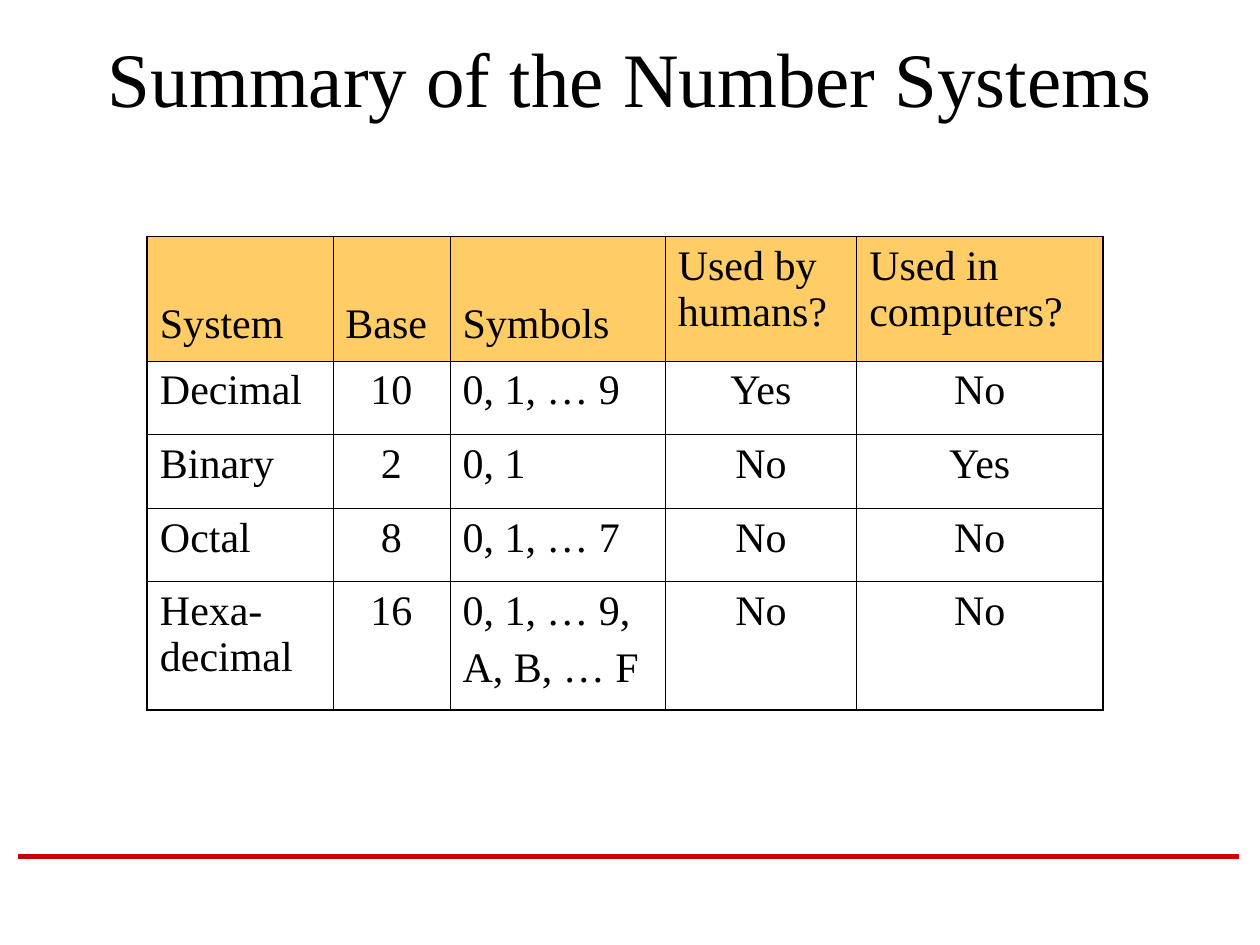
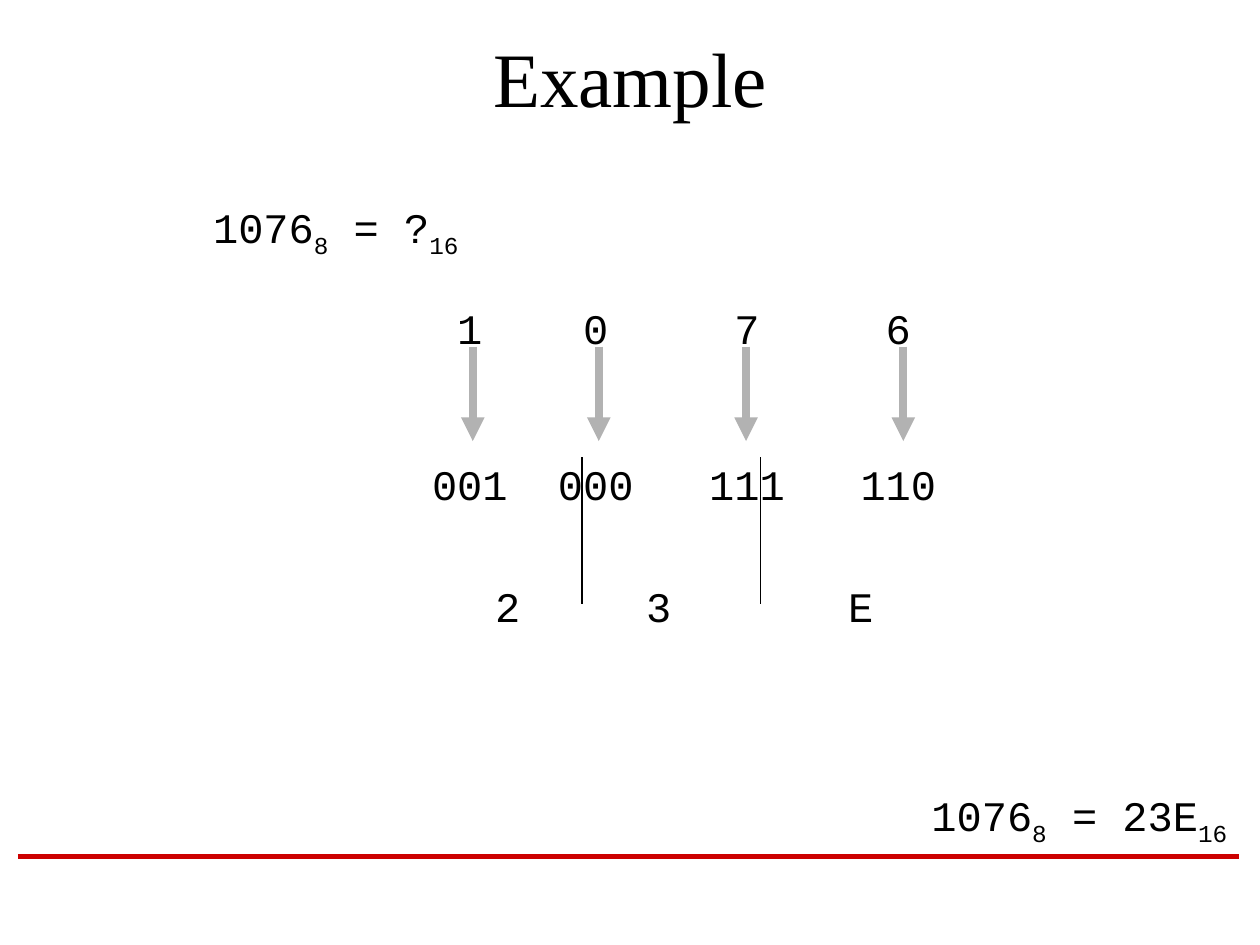
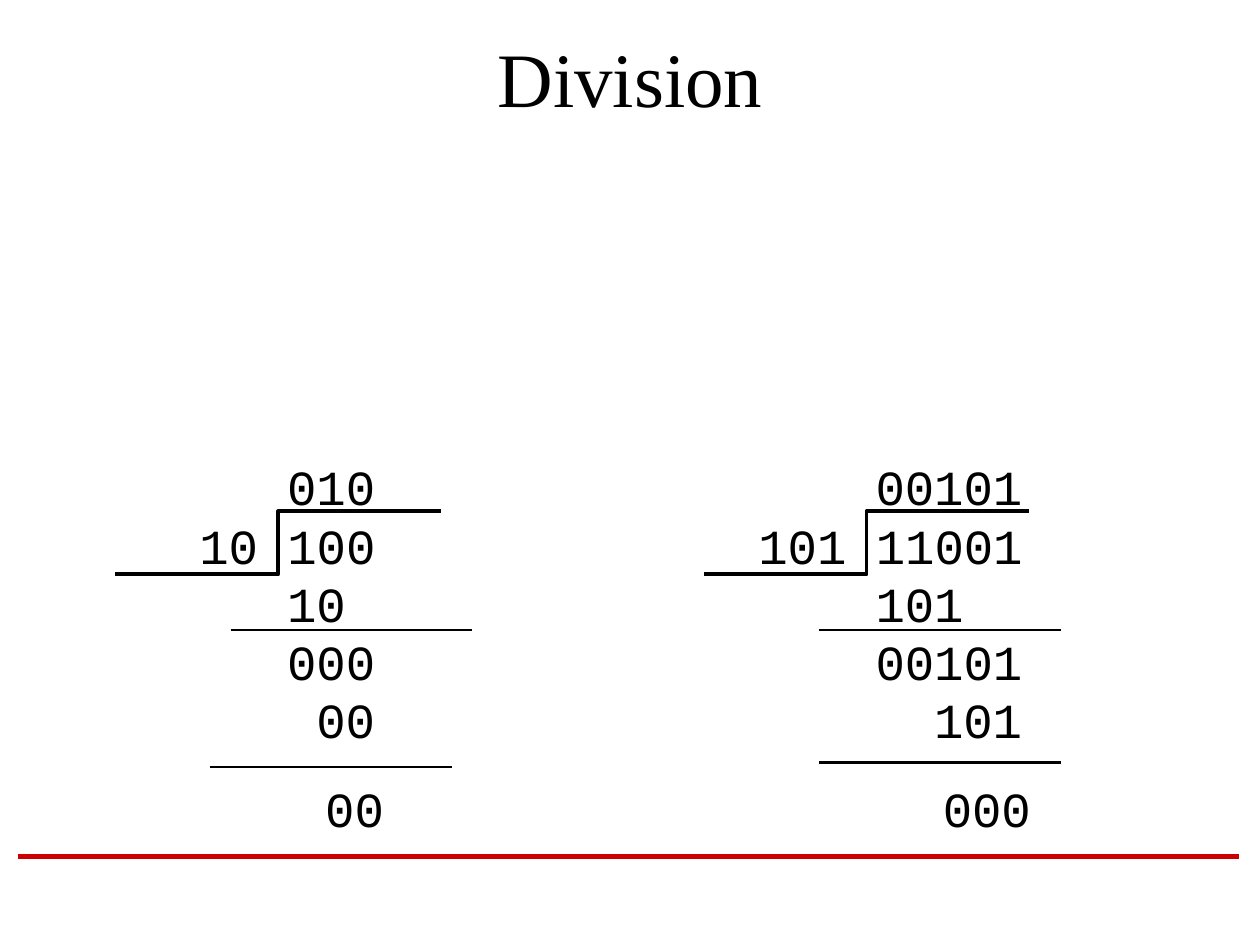
import pptx
import pptx.dml.color
import pptx.enum.shapes
import pptx.enum.text
import pptx.oxml
import pptx.oxml.ns
import pptx.util
from lxml import etree

Cm = pptx.util.Cm
Pt = pptx.util.Pt
ALIGN = pptx.enum.text.PP_ALIGN
ANCHOR = pptx.enum.text.MSO_ANCHOR
CONNECTOR = pptx.enum.shapes.MSO_CONNECTOR
qn = pptx.oxml.ns.qn

BLACK = pptx.dml.color.RGBColor(0x00, 0x00, 0x00)
RED = pptx.dml.color.RGBColor(0xCC, 0x00, 0x00)
GREY = pptx.dml.color.RGBColor(0xB2, 0xB2, 0xB2)
ORANGE = pptx.dml.color.RGBColor(0xFF, 0xCC, 0x66)

FORMATS = {
    "title": {"name": "Times New Roman", "size": Pt(44)},
    "table": {"name": "Times New Roman", "size": Pt(24)},
    "digits": {"name": "Courier New", "size": Pt(24)},
    "division": {"name": "Courier New", "size": Pt(28)},
}


def add_line(page, start, end, color, width, kind=CONNECTOR.STRAIGHT):
    line = page.shapes.add_connector(kind, *[Cm(value) for value in start + end])
    line.line.color.rgb = color
    line.line.width = Pt(width)
    etree.SubElement(line._element.spPr, qn("a:effectLst"))
    return line


def fill_frame(frame, lines, style, paragraph_format, tabs=()):
    """Write one paragraph a line; text between underscores is subscript."""
    frame.word_wrap = True
    for index, text in enumerate(lines):
        paragraph = frame.paragraphs[0] if index == 0 else frame.add_paragraph()
        if tabs:
            tab_list = etree.SubElement(paragraph._p.get_or_add_pPr(), qn("a:tabLst"))
            for position in tabs:
                etree.SubElement(tab_list, qn("a:tab"), pos=str(Cm(position)), algn="ctr")
        for name, value in paragraph_format.items():
            if name != "space_before" or index > 0:
                setattr(paragraph, name, value)
        for number, part in enumerate(text.split("_")):
            for row, piece in enumerate(part.split("\v")):
                if row > 0:
                    paragraph.add_line_break()
                if not piece:
                    continue
                span = paragraph.add_run()
                span.text = piece
                span.font.color.rgb = BLACK
                for name, value in FORMATS[style].items():
                    setattr(span.font, name, value)
                if number % 2:
                    span._r.get_or_add_rPr().set("baseline", "-25000")


deck = pptx.Presentation()
deck.slide_width = Cm(25.4)
deck.slide_height = Cm(19.05)

# Title and red footer line on every page
pages = []
for title in ("Summary of the Number Systems", "Example", "Division"):
    page = deck.slides.add_slide(deck.slide_layouts[6])
    add_line(page, (0.36, 17.27), (24.97, 17.27), RED, 3)
    box = page.shapes.add_textbox(Cm(1.91), Cm(0.5), Cm(21.59), Cm(2.11))
    box.text_frame.vertical_anchor = ANCHOR.MIDDLE
    fill_frame(box.text_frame, [title], "title", {"alignment": ALIGN.CENTER})
    pages.append(page)
summary_page, example_page, division_page = pages

# Number systems table
systems = [
    ["System", "Base", "Symbols", "Used by humans?", "Used in computers?"],
    ["Decimal", "10", "0, 1, … 9", "Yes", "No"],
    ["Binary", "2", "0, 1", "No", "Yes"],
    ["Octal", "8", "0, 1, … 7", "No", "No"],
    ["Hexa-\vdecimal", "16", "0, 1, … 9,\nA, B, … F", "No", "No"],
]
column_widths = [3.74, 2.36, 4.34, 3.86, 4.96]
row_heights = [2.51, 1.48, 1.49, 1.48, 2.59]
table = summary_page.shapes.add_table(
    5, 5, Cm(2.97), Cm(4.77), Cm(sum(column_widths)), Cm(sum(row_heights))).table
table.first_row = False
table.horz_banding = False
for column, width in zip(table.columns, column_widths):
    column.width = Cm(width)
for row, height in zip(table.rows, row_heights):
    row.height = Cm(height)

for row, texts in enumerate(systems):
    for column, text in enumerate(texts):
        cell = table.cell(row, column)
        centred = row > 0 and column in (1, 3, 4)
        fill_frame(cell.text_frame, text.split("\n"), "table",
                   {"alignment": ALIGN.CENTER if centred else ALIGN.LEFT,
                    "space_before": Pt(6)})
        outer_edges = {"L": column == 0, "R": column == 4, "T": row == 0, "B": row == 4}
        for side, outer in outer_edges.items():
            border = etree.SubElement(cell._tc.get_or_add_tcPr(), qn("a:ln" + side),
                                      w=str(Pt(1.08 if outer else 0.45)))
            fill = etree.SubElement(border, qn("a:solidFill"))
            etree.SubElement(fill, qn("a:srgbClr"), val=str(BLACK))
        if row == 0:
            cell.fill.solid()
            cell.fill.fore_color.rgb = ORANGE
            if column < 3:
                cell.vertical_anchor = ANCHOR.BOTTOM
                cell.margin_bottom = Cm(0.27)
        else:
            cell.fill.background()

# Octal to hexadecimal: question, digit groups, regrouped digits, answer
example_boxes = [
    ((0.84, 3.94, 11.86, 1.42), ["1076_8_ = ?_16_"], ALIGN.CENTER, ()),
    ((8.46, 5.98, 11.86, 7.75), ["\t1\t0\t7\t6", "\t001\t000\t111\t110"],
     ALIGN.LEFT, (0.76, 3.3, 6.35, 9.4)),
    ((9.73, 11.57, 9.09, 1.27), ["2\t3\tE"], ALIGN.LEFT, (3.3, 7.37)),
    ((13.13, 15.8, 11.86, 1.42), ["1076_8_ = 23E_16_"], ALIGN.RIGHT, ()),
]
for place, lines, alignment, tabs in example_boxes:
    box = example_page.shapes.add_textbox(*[Cm(value) for value in place])
    fill_frame(box.text_frame, lines, "digits",
               {"alignment": alignment, "space_before": Pt(60)}, tabs)

for x in (9.53, 12.07, 15.04, 18.21):
    arrow = add_line(example_page, (x, 6.99), (x, 8.89), GREY, 4.5)
    etree.SubElement(arrow.line._get_or_add_ln(), qn("a:tailEnd"), type="triangle")
for x in (11.73, 15.33):
    add_line(example_page, (x, 9.22), (x, 12.17), BLACK, 1)

# Long divisions: each line with its indent in characters
CHARACTER = 0.59
divisions = [
    (3.18, [("010", 4), ("10 100", 1), ("10", 4), ("000", 4), ("00", 5), ("00", 5.3)],
     [(4.65, 12.7), (4.24, 15.46)]),
    (15.04, [("00101", 4), ("101 11001", 0), ("101", 4), ("00101", 4), ("101", 6),
             ("000", 6.3)],
     [(16.51, 12.7), (16.51, 15.37)]),
]
for left, steps, rules in divisions:
    box = division_page.shapes.add_textbox(Cm(left), Cm(9.1), Cm(8.46), Cm(8))
    fill_frame(box.text_frame, [text for text, indent in steps], "division",
               {"line_spacing": Pt(33.3)})
    for paragraph, (text, indent) in zip(box.text_frame.paragraphs, steps):
        paragraph._p.get_or_add_pPr().set("marL", str(Cm(indent * CHARACTER)))
    box.text_frame.paragraphs[-1].space_before = Pt(17.5)
    add_line(division_page, (left + 5.71, 10.31), (left - 0.85, 11.58), BLACK, 2.25,
             CONNECTOR.ELBOW)
    for x, y in rules:
        add_line(division_page, (x, y), (x + 4.87, y), BLACK, 1.5)

deck.save("out.pptx")
